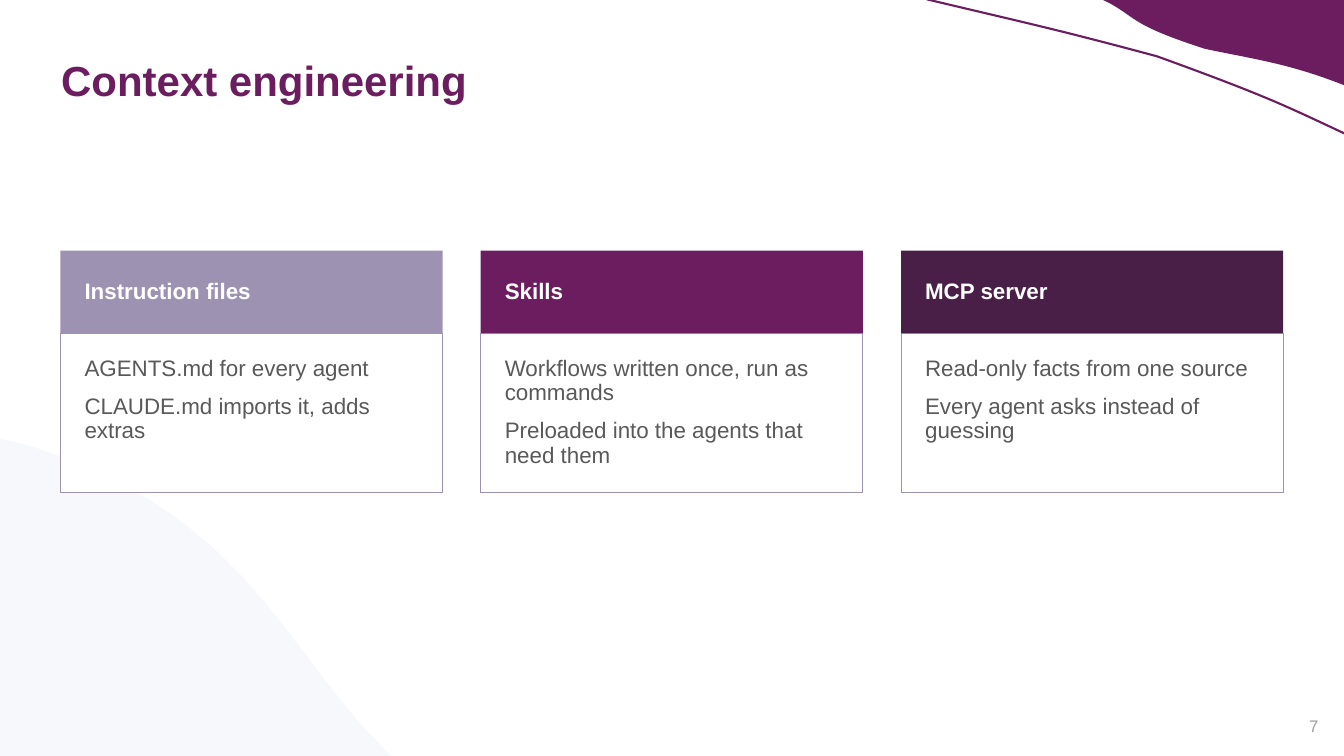
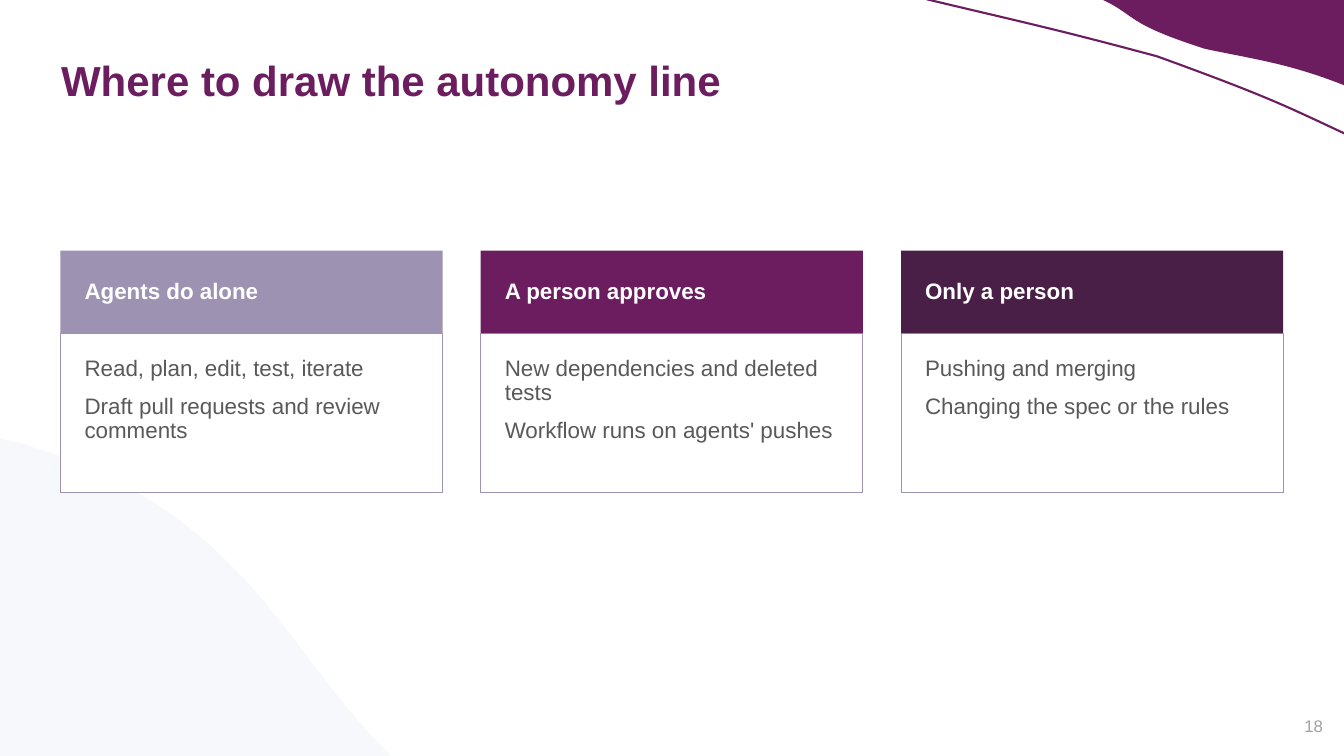
from lxml import etree
from pptx import Presentation
from pptx import util as u
from pptx.dml.color import RGBColor
from pptx.enum import shapes, text
from pptx.oxml.ns import qn

PLUM, LILAC, AUBERGINE = "6C1D5F", "9D92B2", "491E47"
WHITE, MIST, GREY, PALE_GREY = "FFFFFF", "F7F8FC", "595959", "A1A1A1"
FONT = "Arial"

LEFT, CARD_WIDTH, GAP = 43.2, 273, 27.2
HEADER_TOP, HEADER_HEIGHT = 179, 59
BODY_TOP, BODY_HEIGHT = 238, 113.6
PADDING = 17.2

HILL = [(0, 313.2), [(1.44, 313.9)],
        [(7.9, 314.6), (14.4, 316.8), (20.2, 318.2)],
        [(176.4, 367.2), (202.3, 464.4), (276.5, 537.1)],
        [(279.4, 540)], [(0, 540)]]
SWEEP = [(661.9, -0.5),
         [(730.1, 15.8), (754.6, 20.9), (826.6, 40.3)],
         [(907.9, 69.8), (919.4, 76.3), (962.6, 96.4)]]
CORNER = [(788, 0), [(960, 0)], [(960, 60.8)],
          [(921.6, 45.8), (900, 43), (861.1, 35)],
          [(803.5, 16.6), (812.2, 11.5), (788, 0)]]

SLIDES = [
    ("Context engineering", "7", [
        ("Instruction files", ["AGENTS.md for every agent",
                               "CLAUDE.md imports it, adds extras"]),
        ("Skills", ["Workflows written once, run as commands",
                    "Preloaded into the agents that need them"]),
        ("MCP server", ["Read-only facts from one source",
                        "Every agent asks instead of guessing"]),
    ]),
    ("Where to draw the autonomy line", "18", [
        ("Agents do alone", ["Read, plan, edit, test, iterate",
                             "Draft pull requests and review comments"]),
        ("A person approves", ["New dependencies and deleted tests",
                               "Workflow runs on agents' pushes"]),
        ("Only a person", ["Pushing and merging",
                           "Changing the spec or the rules"]),
    ]),
]


def trace(page, outline, closed):
    start, *segments = outline
    builder = page.shapes.build_freeform(u.Pt(start[0]), u.Pt(start[1]), scale=1.0)
    for segment in segments:
        builder.add_line_segments([(u.Pt(x), u.Pt(y)) for x, y in segment], close=False)
    if closed:
        builder.add_line_segments([], close=True)
    shape = builder.convert_to_shape()
    shape.shadow.inherit = False
    lines = iter(list(shape._element.iter(qn("a:lnTo"))))
    for segment in segments:
        group = [next(lines) for _ in segment]
        if len(group) == 3:
            curve = etree.Element(qn("a:cubicBezTo"))
            group[0].addprevious(curve)
            for line in group:
                curve.append(line[0])
                line.getparent().remove(line)
    return shape


def write(box, lines, size, color, bold=False, margins=(0, 0, 0, 0),
          anchor=text.MSO_ANCHOR.TOP, align=text.PP_ALIGN.LEFT, spacing=0.9):
    frame = box.text_frame
    frame.word_wrap = True
    frame.vertical_anchor = anchor
    frame.margin_left, frame.margin_top, frame.margin_right, frame.margin_bottom = map(u.Pt, margins)
    frame.text = "\n".join(lines)
    for index, para in enumerate(frame.paragraphs):
        para.alignment = align
        para.line_spacing = spacing
        para.space_before = u.Pt(10 if index else 0)
        for span in para.runs:
            span.font.name = FONT
            span.font.size = u.Pt(size)
            span.font.bold = bold
            span.font.color.rgb = RGBColor.from_string(color)


deck = Presentation()
deck.slide_width, deck.slide_height = u.Pt(960), u.Pt(540)

for title, number, cards in SLIDES:
    page = deck.slides.add_slide(deck.slide_layouts[6])
    page.background.fill.solid()
    page.background.fill.fore_color.rgb = RGBColor.from_string(WHITE)

    for outline, color in ((HILL, MIST), (SWEEP, None), (CORNER, PLUM)):
        shape = trace(page, outline, closed=color is not None)
        if color:
            shape.fill.solid()
            shape.fill.fore_color.rgb = RGBColor.from_string(color)
            shape.line.fill.background()
        else:
            shape.fill.background()
            shape.line.color.rgb = RGBColor.from_string(PLUM)
            shape.line.width = u.Pt(1.5)

    title_box = page.shapes.add_textbox(u.Pt(43.7), u.Pt(43.2), u.Pt(872.8), u.Pt(89.3))
    write(title_box, [title], 30, PLUM, bold=True)

    for column, ((heading, lines), color) in enumerate(zip(cards, (LILAC, PLUM, AUBERGINE))):
        left = LEFT + column * (CARD_WIDTH + GAP)
        body = page.shapes.add_shape(shapes.MSO_SHAPE.RECTANGLE, u.Pt(left), u.Pt(BODY_TOP),
                                     u.Pt(CARD_WIDTH), u.Pt(BODY_HEIGHT))
        header = page.shapes.add_shape(shapes.MSO_SHAPE.RECTANGLE, u.Pt(left), u.Pt(HEADER_TOP),
                                       u.Pt(CARD_WIDTH), u.Pt(HEADER_HEIGHT))
        for box, fill in ((body, WHITE), (header, color)):
            box.shadow.inherit = False
            box.fill.solid()
            box.fill.fore_color.rgb = RGBColor.from_string(fill)
        body.line.color.rgb = RGBColor.from_string(LILAC)
        body.line.width = u.Pt(0.75)
        header.line.fill.background()
        write(body, lines, 16, GREY, margins=(PADDING,) * 4)
        write(header, [heading], 16, WHITE, bold=True, margins=(PADDING, 0, 56.9, 0),
              anchor=text.MSO_ANCHOR.MIDDLE)

    number_box = page.shapes.add_textbox(u.Pt(916.8), u.Pt(496.8), u.Pt(43.2), u.Pt(43.2))
    write(number_box, [number], 12, PALE_GREY, margins=(7.2, 3.6, 7.2, 3.6),
          anchor=text.MSO_ANCHOR.MIDDLE, align=text.PP_ALIGN.CENTER, spacing=1.0)

deck.save("out.pptx")
